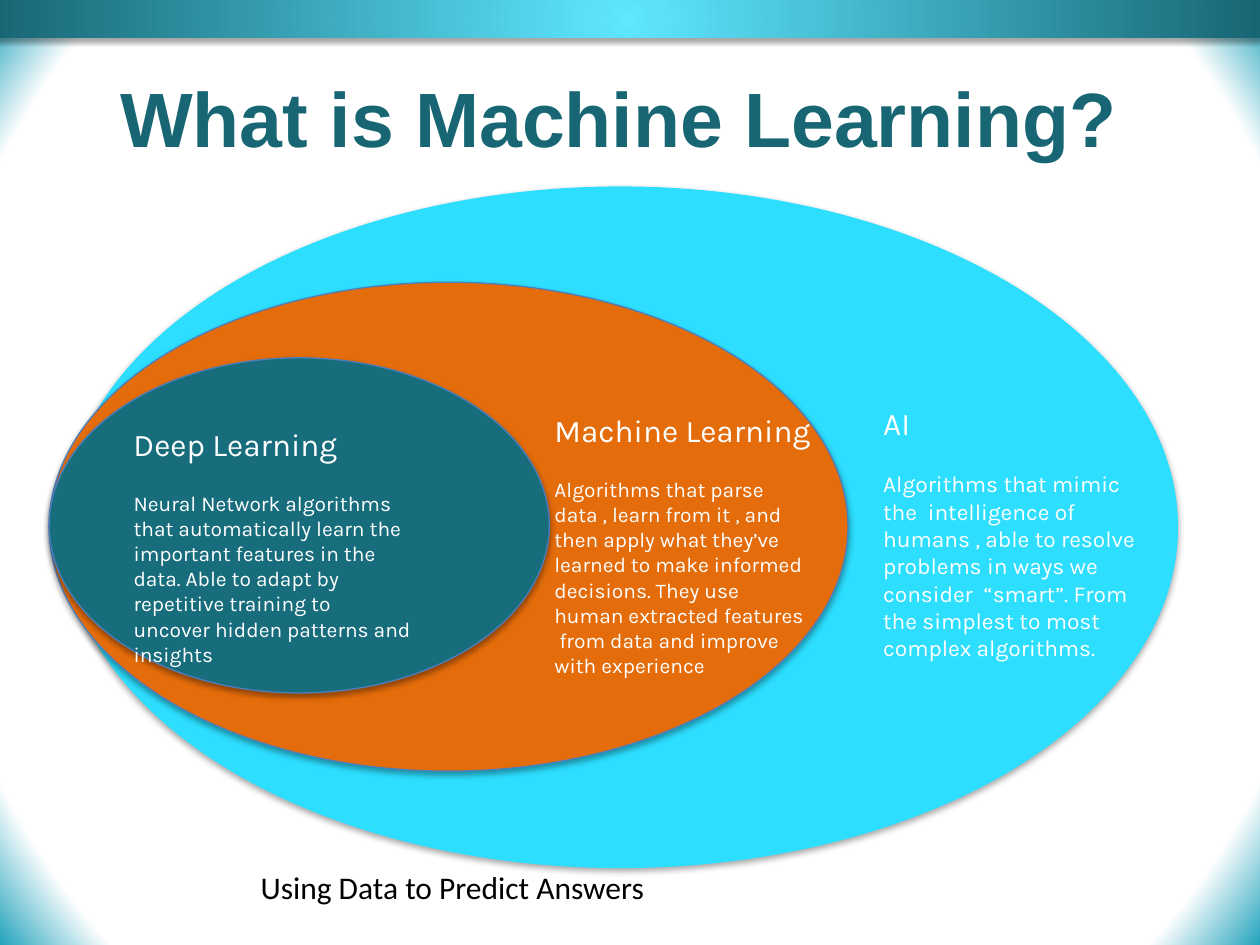
from pptx import Presentation
from pptx.dml.color import RGBColor
from pptx.enum.shapes import MSO_SHAPE
from pptx.enum.text import MSO_ANCHOR, MSO_AUTO_SIZE, PP_ALIGN
from pptx.oxml import parse_xml
from pptx.oxml.ns import nsdecls, qn
from pptx.util import Pt

PX = 9144
WHITE = RGBColor(0xFF, 0xFF, 0xFF)
BLACK = RGBColor(0x00, 0x00, 0x00)
TITLE = RGBColor(0x18, 0x66, 0x74)
GLOW = RGBColor(0x5E, 0xE7, 0xFF)
EDGE = RGBColor(0x23, 0xA3, 0xBC)
CYAN = RGBColor(0x2D, 0xDE, 0xFF)
ORANGE = RGBColor(0xE4, 0x6C, 0x0A)
TEAL = RGBColor(0x18, 0x6D, 0x7D)
OUTLINE = RGBColor(0x4B, 0x7E, 0xBC)


class Deck:
    def __init__(self, w, h):
        self.prs = Presentation()
        self.prs.slide_width, self.prs.slide_height = w * PX, h * PX
        self.s = self.prs.slides.add_slide(self.prs.slide_layouts[5])

    def box(self, at):
        return [v * PX for v in at]

    def radial(self, element, stops):
        gs = "".join(
            f'<a:gs pos="{pos * 1000}"><a:srgbClr val="{color}"/></a:gs>'
            for pos, color in stops
        )
        grad = parse_xml(
            f'<a:gradFill {nsdecls("a")} rotWithShape="1"><a:gsLst>{gs}</a:gsLst>'
            '<a:path path="circle"><a:fillToRect l="50000" t="50000" r="50000" b="50000"/>'
            "</a:path></a:gradFill>"
        )
        solid = element.find(".//" + qn("a:solidFill"))
        solid.getparent().replace(solid, grad)

    def background(self, stops):
        fill = self.s.background.fill
        fill.solid()
        fill.fore_color.rgb = WHITE
        self.radial(self.s.element, stops)

    def shape(self, kind, at, color, line=None):
        sp = self.s.shapes.add_shape(kind, *self.box(at))
        sp.fill.solid()
        sp.fill.fore_color.rgb = color
        if line is None:
            sp.line.fill.background()
        else:
            sp.line.color.rgb = line
            sp.line.width = Pt(0.75)
        sp.shadow.inherit = False
        effects = sp.element.spPr.find(qn("a:effectLst"))
        effects.append(parse_xml(
            f'<a:outerShdw {nsdecls("a")} blurRad="40000" dist="23000" dir="5400000" '
            'rotWithShape="0"><a:srgbClr val="000000"><a:alpha val="35000"/></a:srgbClr>'
            "</a:outerShdw>"
        ))
        return sp

    def run(self, p, text, size, font, color, bold=False):
        r = p.add_run()
        r.text = text
        r.font.size, r.font.name, r.font.bold = Pt(size), font, bold
        r.font.color.rgb = color

    def title(self, at, text):
        sp = self.s.shapes.title
        sp.left, sp.top, sp.width, sp.height = self.box(at)
        tf = sp.text_frame
        tf.vertical_anchor = MSO_ANCHOR.MIDDLE
        p = tf.paragraphs[0]
        p.alignment = PP_ALIGN.CENTER
        self.run(p, text, 44, "Arial", TITLE, True)

    def caption(self, at, text):
        tf = self.s.shapes.add_textbox(*self.box(at)).text_frame
        tf.word_wrap = False
        tf.auto_size = MSO_AUTO_SIZE.SHAPE_TO_FIT_TEXT
        self.run(tf.paragraphs[0], text, 18, "Calibri", BLACK)

    def label(self, x, y, widths, heading, body, size):
        group = self.s.shapes.add_group_shape()
        parts = (
            ((x, y + 52, widths[1], 45), body, size),
            ((x, y, widths[0], 35), heading, 18),
        )
        for at, text, pt in parts:
            tf = group.shapes.add_textbox(*self.box(at)).text_frame
            tf.word_wrap = True
            tf.margin_left = tf.margin_right = 5 * PX
            tf.margin_top = tf.margin_bottom = 2 * PX
            self.run(tf.paragraphs[0], text, pt, "Karla", WHITE)


def main():
    d = Deck(1000, 750)
    d.background([(89, WHITE), (100, EDGE)])
    band = d.shape(MSO_SHAPE.RECTANGLE, (-5, 0, 1005, 30), GLOW)
    d.radial(band.element, [(0, GLOW), (100, TITLE)])
    d.title((50, 30, 900, 125), "What is Machine Learning? ")
    d.caption((197, 684, 330, 40), "Using Data to Predict Answers")

    for at, color, line in (
        ((50, 148, 885, 541), CYAN, None),
        ((39, 224, 634, 388), ORANGE, OUTLINE),
        ((39, 284, 397, 266), TEAL, OUTLINE),
    ):
        d.shape(MSO_SHAPE.OVAL, at, color, line)

    d.label(435, 324, (288, 210), "Machine Learning",
            "Algorithms that parse data , learn from it , and then apply what they’ve  "
            "learned to make informed decisions. They use human extracted features  "
            "from data and improve with experience", 12)
    d.label(101, 335, (317, 231), "Deep Learning",
            "Neural Network algorithms that automatically learn the important features "
            "in the data. Able to adapt by repetitive training to uncover hidden "
            "patterns and insights", 12)
    d.label(696, 319, (288, 210), "AI",
            "Algorithms that mimic the  intelligence of humans , able to resolve "
            "problems in ways we consider  “smart”. From the simplest to most complex "
            "algorithms.", 13)
    d.prs.save("out.pptx")


if __name__ == "__main__":
    main()
